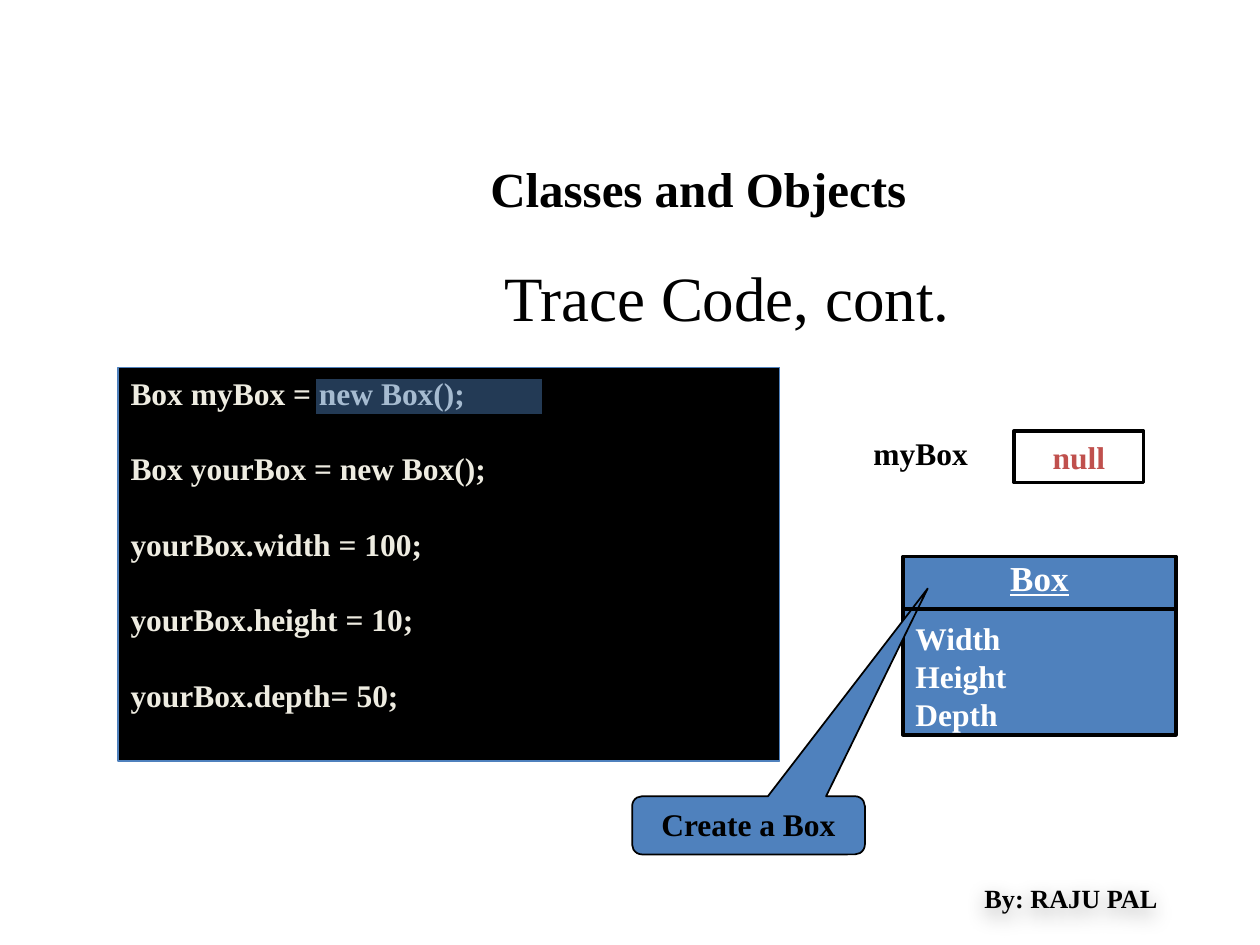
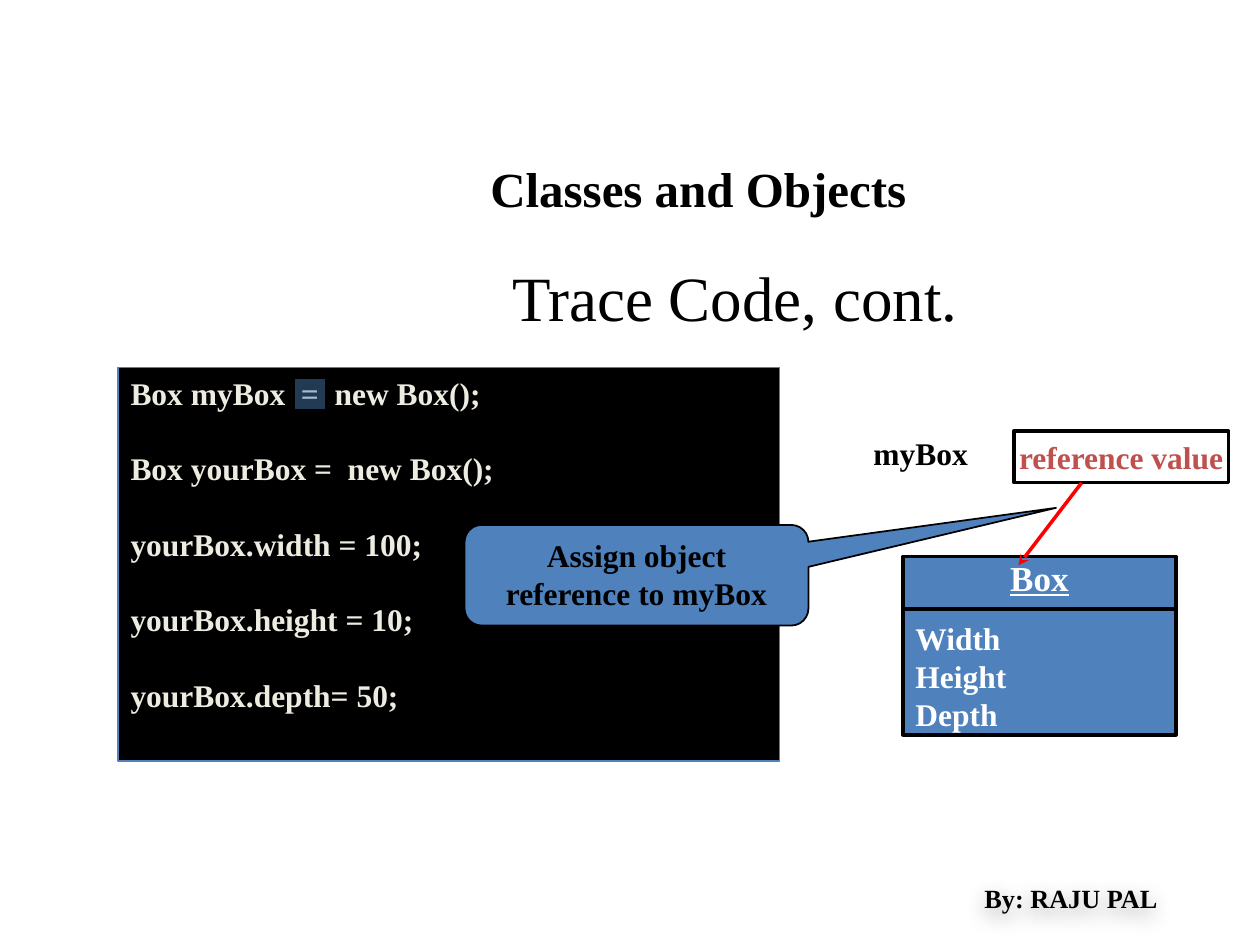
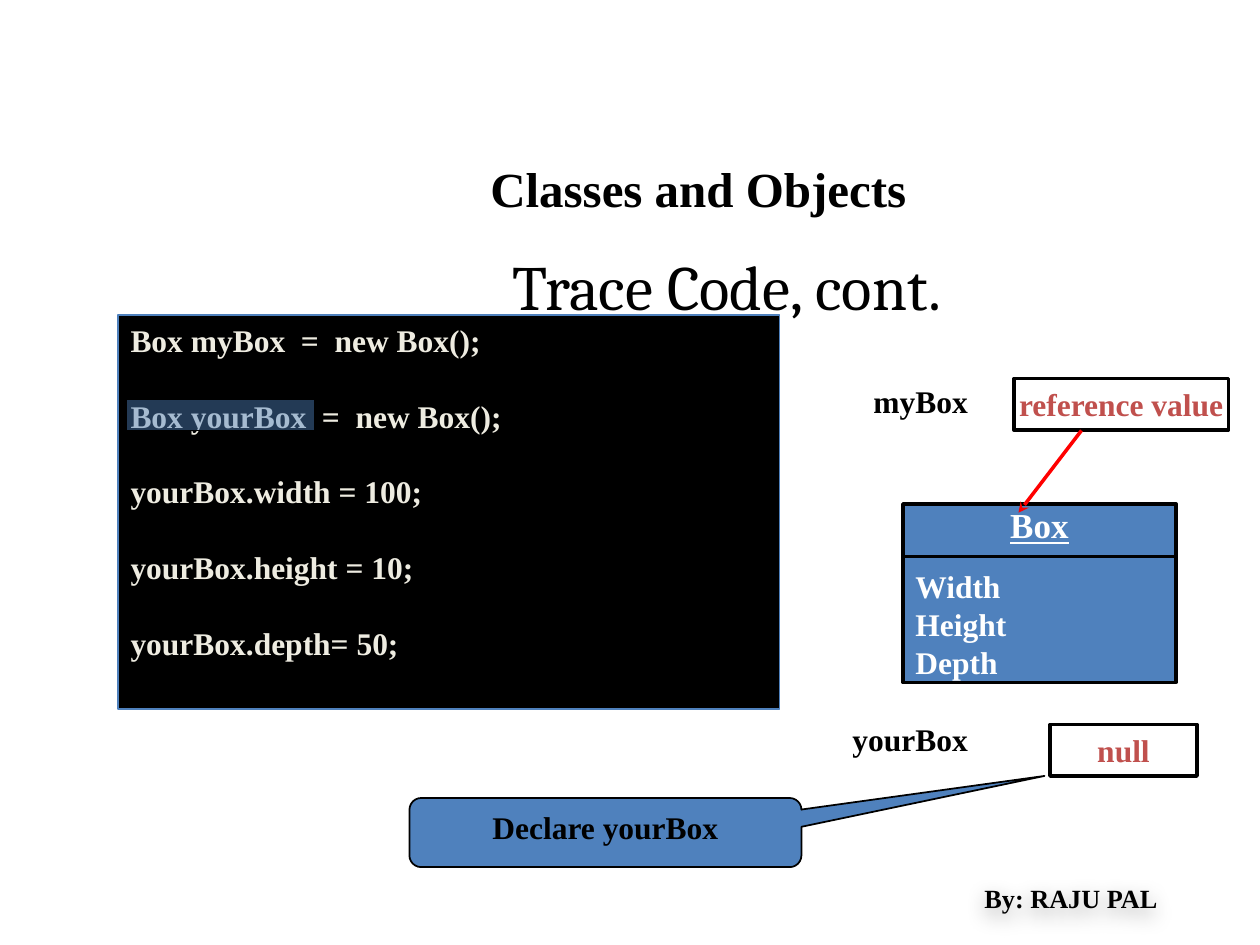
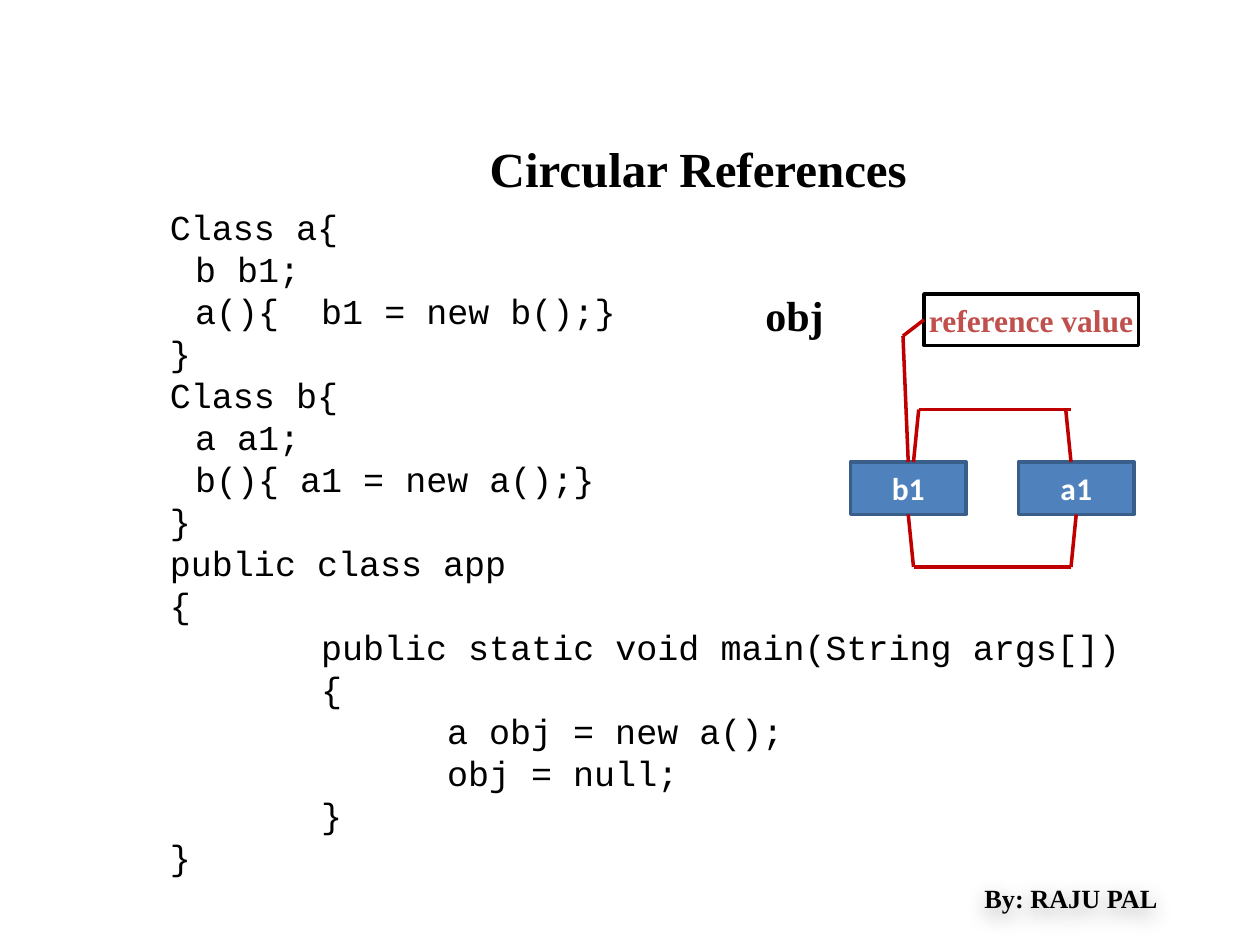
from dataclasses import dataclass
from typing import NamedTuple, Optional

from lxml.etree import SubElement
from pptx import Presentation
from pptx.dml.color import RGBColor
from pptx.enum.shapes import MSO_CONNECTOR, MSO_SHAPE
from pptx.enum.text import MSO_ANCHOR, PP_ALIGN
from pptx.oxml.ns import qn
from pptx.util import Pt

COLORS = {
    "black": "000000",
    "white": "FFFFFF",
    "cream": "EEECE1",
    "blue": "4F81BD",
    "navy": "395E89",
    "brick": "C0504D",
    "red": "FF0000",
    "crimson": "C00000",
}
SERIF = "Times New Roman"
INSETS = (7.2, 3.6)
TIGHT = (0.72, 0.72)


class Area(NamedTuple):
    left: float
    top: float
    width: float
    height: float

    def shifted(self, dy: float) -> "Area":
        return self._replace(top=self.top + dy)


class Style(NamedTuple):
    size: float = 18
    color: str = "black"
    font: str = SERIF
    bold: bool = True
    underline: bool = False


class Line(NamedTuple):
    text: str
    style: Style = Style()
    align: PP_ALIGN = PP_ALIGN.LEFT
    before: float = 0
    indent: float = 0
    spacing: Optional[float] = None


@dataclass
class Callout:
    area: Area
    tip: tuple[float, float]
    text: str


@dataclass
class Variable:
    """A named variable and the framed value it holds."""
    name: str
    label: Area
    value: str
    frame: Area


@dataclass
class TraceStep:
    code: list[str]
    highlight: Area
    callout: Callout
    variables: list[Variable]
    title_at: tuple[float, float] = (109.5, 144)
    title_font: str = SERIF
    shift: float = 0
    linked: bool = True


def rgb(name: str) -> RGBColor:
    return RGBColor.from_string(COLORS[name])


def lengths(values) -> list:
    return [Pt(value) for value in values]


def write(shape, lines: list[Line], insets=INSETS, anchor=MSO_ANCHOR.TOP) -> None:
    frame = shape.text_frame
    frame.word_wrap = True
    frame.vertical_anchor = anchor
    frame.margin_left = frame.margin_right = Pt(insets[0])
    frame.margin_top = frame.margin_bottom = Pt(insets[1])
    for index, line in enumerate(lines):
        paragraph = frame.add_paragraph() if index else frame.paragraphs[0]
        paragraph.alignment = line.align
        if line.before:
            paragraph.space_before = Pt(line.before)
        if line.spacing:
            paragraph.line_spacing = line.spacing
        if line.indent:
            properties = paragraph._p.get_or_add_pPr()
            properties.set("marL", str(Pt(line.indent)))
            properties.set("indent", "0")
        run = paragraph.add_run()
        run.text = line.text
        font = run.font
        font.name, font.size = line.style.font, Pt(line.style.size)
        font.bold, font.underline = line.style.bold, line.style.underline
        font.color.rgb = rgb(line.style.color)


def add_text(slide, area: Area, lines: list[Line], insets=INSETS,
             anchor=MSO_ANCHOR.TOP):
    box = slide.shapes.add_textbox(*lengths(area))
    write(box, lines, insets, anchor)
    return box


def add_block(slide, area: Area, fill: Optional[str] = None, outline="black",
              weight: float = 2, kind=MSO_SHAPE.RECTANGLE):
    block = slide.shapes.add_shape(kind, *lengths(area))
    block.shadow.inherit = False
    if fill:
        block.fill.solid()
        block.fill.fore_color.rgb = rgb(fill)
    else:
        block.fill.background()
    block.line.color.rgb = rgb(outline)
    block.line.width = Pt(weight)
    return block


def add_line(slide, start, end, color="black", arrow=False):
    line = slide.shapes.add_connector(MSO_CONNECTOR.STRAIGHT,
                                      *lengths((*start, *end)))
    line.line.color.rgb = rgb(color)
    line.line.width = Pt(2)
    if arrow:
        SubElement(line.line._get_or_add_ln(), qn("a:tailEnd"), type="stealth")
    SubElement(line._element.spPr, qn("a:effectLst"))
    return line


def add_footer(slide) -> None:
    footer = add_text(slide, Area(534, 504, 156, 18),
                      [Line("By: RAJU PAL", Style(15), PP_ALIGN.CENTER)],
                      anchor=MSO_ANCHOR.MIDDLE)
    effects = SubElement(footer._element.spPr, qn("a:effectLst"))
    shadow = SubElement(effects, qn("a:outerShdw"), blurRad=str(Pt(12)),
                        dist=str(Pt(4)), dir="5400000", rotWithShape="0")
    tint = SubElement(shadow, qn("a:srgbClr"), val=COLORS["black"])
    SubElement(tint, qn("a:alpha"), val="35000")


def start_slide(deck, heading: str, top: float):
    slide = deck.slides.add_slide(deck.slide_layouts[6])
    add_footer(slide)
    add_text(slide, Area(120, top, 558, 42),
             [Line(heading, Style(28), PP_ALIGN.CENTER, spacing=1.1)])
    return slide


def add_value(slide, area: Area, value: str):
    frame = add_block(slide, area)
    write(frame, [Line(value, Style(color="brick"), PP_ALIGN.CENTER)],
          TIGHT, MSO_ANCHOR.MIDDLE)
    return frame


def add_object_card(slide, area: Area) -> None:
    card = add_block(slide, area, "blue")
    field = Style(color="white")
    write(card, [Line("Box", Style(20, "white", underline=True), PP_ALIGN.CENTER),
                 Line("Width", field, before=12),
                 Line("Height", field),
                 Line("Depth", field)], (7.2, 0))


def add_callout(slide, callout: Callout) -> None:
    bubble = add_block(slide, callout.area, "blue", weight=1,
                       kind=MSO_SHAPE.ROUNDED_RECTANGULAR_CALLOUT)
    for index, value in enumerate((*callout.tip, 0.17)):
        bubble.adjustments[index] = value
    write(bubble, [Line(callout.text, align=PP_ALIGN.CENTER)])


def add_highlight(slide, area: Area) -> None:
    highlight = add_block(slide, area, "blue", weight=1)
    color = highlight._element.spPr.find(qn("a:solidFill"))[0]
    SubElement(color, qn("a:alpha"), val="45000")


def add_trace_slide(deck, step: TraceStep) -> None:
    slide = start_slide(deck, "Classes and Objects", 84)
    add_text(slide, Area(*step.title_at, 612, 42),
             [Line("Trace Code, cont.", Style(36, font=step.title_font, bold=False),
                   PP_ALIGN.CENTER)])
    for variable in step.variables:
        add_text(slide, variable.label, [Line(variable.name)])
        add_value(slide, variable.frame, variable.value)
    card = Area(516, 318, 156, 102).shifted(step.shift)
    add_object_card(slide, card)
    listing = add_block(slide, Area(67.5, 210, 378, 225).shifted(step.shift),
                        "black", "blue", 1)
    write(listing, [Line(code, Style(color="cream"), before=21.6 if index else 0)
                    for index, code in enumerate(step.code + SETTERS)])
    add_callout(slide, step.callout)
    add_highlight(slide, step.highlight)
    if step.linked:
        add_line(slide, (618, 276 + step.shift), (582, 323 + step.shift),
                 "red", arrow=True)
    divider = card.top + 30
    add_line(slide, (card.left, divider), (card.left + card.width, divider))


SETTERS = ["yourBox.width = 100;", "yourBox.height = 10;", "yourBox.depth= 50;"]


def my_box(value: str, width: float, dy: float = 0) -> Variable:
    return Variable("myBox", Area(492, 244.5, 89.25, 29).shifted(dy),
                    value, Area(579.5, 246.25, width, 29.5).shifted(dy))


STEPS = [
    TraceStep(
        code=["Box myBox = new Box();", "Box yourBox = new Box();"],
        highlight=Area(180, 216, 130, 21),
        callout=Callout(Area(361.25, 455, 133, 33.25), (0.77, -4.07), "Create a Box"),
        variables=[my_box("null", 74)],
        linked=False,
    ),
    TraceStep(
        code=["Box myBox  =  new Box();", "Box yourBox =  new Box();"],
        highlight=Area(168, 216, 18, 18),
        callout=Callout(Area(265.5, 300, 196.5, 57.5), (1.22, -0.67),
                        "Assign object reference to myBox"),
        variables=[my_box("reference value", 122.5)],
        title_at=(114, 144),
    ),
    TraceStep(
        code=["Box myBox  =  new Box();", "Box yourBox  =  new Box();"],
        highlight=Area(72, 228, 108, 18),
        callout=Callout(Area(234, 456, 224, 39.5), (1.12, -0.82), "Declare yourBox"),
        variables=[my_box("reference value", 122.5, -30),
                   Variable("yourBox", Area(480, 408, 96.5, 29),
                            "null", Area(600, 414, 84, 29.5))],
        title_at=(109.5, 138),
        title_font="Cambria",
        shift=-30,
    ),
]

# Indent level and code of each line
CIRCULAR_CODE = [
    (0, "Class a{"),
    (1, "b b1;"),
    (1, "a(){  b1 = new b();}"),
    (0, "}"),
    (0, "Class b{"),
    (1, "a a1;"),
    (1, "b(){ a1 = new a();}"),
    (0, "}"),
    (0, "public class app"),
    (0, "{"),
    (2, "public static void main(String args[])"),
    (2, "{"),
    (3, "a obj = new a();"),
    (3, "obj = null;"),
    (2, "}"),
    (0, "}"),
]
INDENTS = (0, 14.4, 86.4, 158.4)
TOP, LEFT, BOTTOM = 0, 1, 2


def add_circular_slide(deck) -> None:
    slide = start_slide(deck, "Circular References", 72)
    mono = Style(20, font="Courier New", bold=False)
    add_text(slide, Area(90, 114, 594, 420),
             [Line(code, mono, PP_ALIGN.JUSTIFY, indent=INDENTS[level])
              for level, code in CIRCULAR_CODE])
    nodes = {}
    for name, left in (("a1", 582), ("b1", 486)):
        nodes[name] = add_block(slide, Area(left, 264, 66, 30), "blue", "navy")
        write(nodes[name], [Line(name, Style(color="white", font="Calibri"),
                                 PP_ALIGN.CENTER)], anchor=MSO_ANCHOR.MIDDLE)
    reference = add_value(slide, Area(528, 168, 122.5, 29.5), "reference value")
    add_text(slide, Area(408, 168, 92, 24),
             [Line("obj", Style(24), PP_ALIGN.CENTER)], TIGHT, MSO_ANCHOR.MIDDLE)

    def link(start, end):
        return add_line(slide, start, end, "crimson")

    link((516, 192), (519, 264)).end_connect(nodes["b1"], TOP)
    link((522, 324), (519, 294)).end_connect(nodes["b1"], BOTTOM)
    link((612, 324), (522, 324))
    link((615, 294), (612, 324)).begin_connect(nodes["a1"], BOTTOM)
    link((612, 234), (525, 234))
    link((612, 264), (609, 234))
    link((525, 234), (522, 264))
    link((528, 183), (516, 192)).begin_connect(reference, LEFT)


def main() -> None:
    deck = Presentation()
    deck.slide_width, deck.slide_height = Pt(720), Pt(540)
    for step in STEPS:
        add_trace_slide(deck, step)
    add_circular_slide(deck)
    deck.save("out.pptx")


if __name__ == "__main__":
    main()
